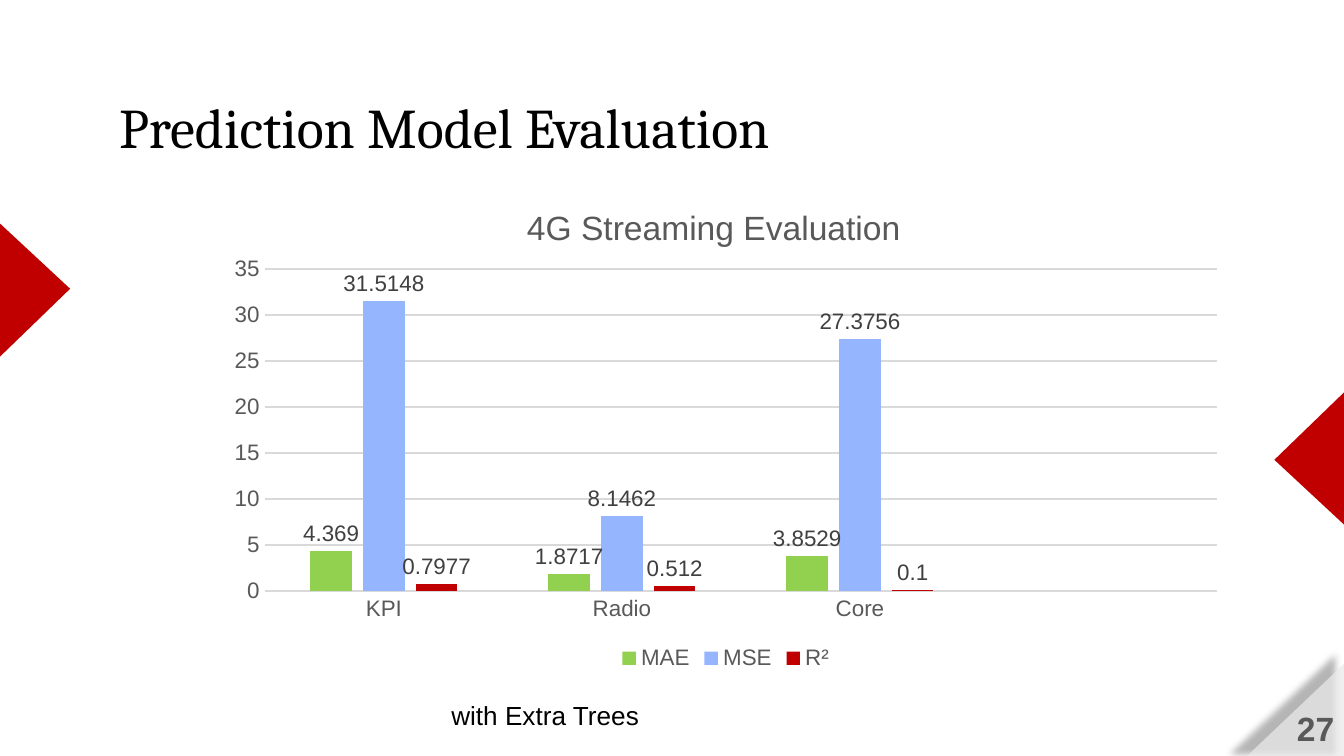
from dataclasses import dataclass

from lxml import etree
from pptx import Presentation
from pptx import util as u
from pptx.chart import data
from pptx.dml import color
from pptx.enum import chart as charts, shapes, text
from pptx.oxml import ns, parse_xml


@dataclass(frozen=True)
class Theme:
    ink: str = "000000"
    muted: str = "595959"
    label: str = "404040"
    grid: str = "D9D9D9"
    accent: str = "C00000"
    corner: str = "EAEAEA"
    series: tuple = ("92D050", "96B5FF", "C00000")
    heading_font: str = "Cambria"
    body_font: str = "Arial"
    title_size: int = 30
    chart_title_size: int = 18
    number_size: int = 18
    note_size: int = 14
    chart_size: int = 12


def rgb(value):
    return color.RGBColor.from_string(value)


def style_font(font, name, size, ink, bold=False):
    font.name = name
    font.size = u.Pt(size)
    font.bold = bold
    font.color.rgb = rgb(ink)


def write(frame, content, font, size, ink, bold=False,
          align=text.PP_ALIGN.LEFT, anchor=None):
    paragraph = frame.paragraphs[0]
    paragraph.alignment = align
    run = paragraph.add_run()
    run.text = content
    style_font(run.font, font, size, ink, bold)
    if anchor is not None:
        frame.vertical_anchor = anchor


def manual_layout(owner, position, **fractions):
    for former in owner.findall(ns.qn("c:layout")):
        owner.remove(former)
    layout = etree.Element(ns.qn("c:layout"))
    owner.insert(position, layout)
    manual = etree.SubElement(layout, ns.qn("c:manualLayout"))
    if "w" in fractions:
        etree.SubElement(manual, ns.qn("c:layoutTarget"), val="inner")
    for mode in ("xMode", "yMode"):
        etree.SubElement(manual, ns.qn(f"c:{mode}"), val="edge")
    for key, value in fractions.items():
        etree.SubElement(manual, ns.qn(f"c:{key}"), val=str(value))


class SlideBuilder:
    def __init__(self, slide, theme):
        self.slide = slide
        self.theme = theme

    def title(self, content, box):
        heading = self.slide.shapes.title
        heading.left, heading.top, heading.width, heading.height = map(u.Cm, box)
        frame = heading.text_frame
        frame.word_wrap = True
        frame.auto_size = text.MSO_AUTO_SIZE.NONE
        frame.margin_left = frame.margin_right = u.Cm(0.25)
        frame.margin_top = frame.margin_bottom = u.Cm(0.25)
        write(frame, content, self.theme.heading_font, self.theme.title_size,
              self.theme.ink, anchor=text.MSO_ANCHOR.TOP)

    def caption(self, content, box, **style):
        frame = self.slide.shapes.add_textbox(*map(u.Cm, box)).text_frame
        frame.word_wrap = True
        write(frame, content, self.theme.body_font, **style)

    def triangle(self, preset, box, rotation, fill):
        mark = self.slide.shapes.add_shape(preset, *map(u.Cm, box))
        mark.rotation = rotation
        mark.shadow.inherit = False
        mark.fill.solid()
        mark.fill.fore_color.rgb = rgb(fill)
        mark.line.fill.background()
        return mark

    def side_arrow(self, box, rotation):
        arrow = self.triangle(shapes.MSO_SHAPE.ISOSCELES_TRIANGLE, box,
                              rotation, self.theme.accent)
        arrow.adjustments[0] = 0.49

    def page_corner(self, box):
        corner = self.triangle(shapes.MSO_SHAPE.RIGHT_TRIANGLE, box, 270,
                               self.theme.corner)
        properties = corner._element.spPr
        tint = properties.find(".//" + ns.qn("a:srgbClr"))
        etree.SubElement(tint, ns.qn("a:alpha"), val="73000")
        properties.find(ns.qn("a:effectLst")).append(parse_xml(
            f'<a:outerShdw {ns.nsdecls("a")} blurRad="50800" dist="88900" '
            'dir="13500000" algn="br" rotWithShape="0"><a:srgbClr val="000000">'
            '<a:alpha val="40000"/></a:srgbClr></a:outerShdw>'))

    def column_chart(self, heading, categories, scores, box):
        theme = self.theme
        table = data.CategoryChartData()
        table.categories = categories
        for name, values in scores.items():
            table.add_series(name, values)
        chart = self.slide.shapes.add_chart(
            charts.XL_CHART_TYPE.COLUMN_CLUSTERED, *map(u.Cm, box), table).chart
        style_font(chart.font, theme.body_font, theme.chart_size, theme.muted)

        chart.has_title = True
        write(chart.chart_title.text_frame, heading, theme.body_font,
              theme.chart_title_size, theme.muted, align=text.PP_ALIGN.CENTER)
        manual_layout(chart.chart_title._element, 1, x=0.3, y=0.04)
        plot = chart.plots[0]
        manual_layout(plot._element.getparent(), 0,
                      x=0.05, y=0.18, w=0.93, h=0.65)

        chart.has_legend = True
        chart.legend.position = charts.XL_LEGEND_POSITION.BOTTOM
        chart.legend.include_in_layout = False
        style_font(chart.legend.font, theme.body_font, theme.chart_size, theme.muted)

        for axis in (chart.category_axis, chart.value_axis):
            axis.major_tick_mark = charts.XL_TICK_MARK.NONE
            axis.minor_tick_mark = charts.XL_TICK_MARK.NONE
            style_font(axis.tick_labels.font, theme.body_font, theme.chart_size,
                       theme.muted)
        scale = chart.value_axis
        scale.minimum_scale, scale.maximum_scale, scale.major_unit = 0, 35, 5
        scale.format.line.fill.background()
        for line in (chart.category_axis.format.line,
                     scale.major_gridlines.format.line):
            line.color.rgb = rgb(theme.grid)
            line.width = u.Pt(0.75)

        plot.vary_by_categories = False
        plot.gap_width = 219
        plot.overlap = -27
        for score, fill in zip(plot.series, theme.series):
            score.format.fill.solid()
            score.format.fill.fore_color.rgb = rgb(fill)
            labels = score.data_labels
            labels.show_value = True
            labels.position = charts.XL_LABEL_POSITION.OUTSIDE_END
            style_font(labels.font, theme.body_font, theme.chart_size, theme.label)


def main():
    deck = Presentation()
    deck.slide_width, deck.slide_height = u.Cm(25.4), u.Cm(14.29)
    theme = Theme()
    page = SlideBuilder(deck.slides.add_slide(deck.slide_layouts[5]), theme)

    page.title("Prediction Model Evaluation", (2, 1.5, 21.4, 1.6))
    page.side_arrow((-0.66, 4.8, 2.6, 1.37), 90)
    page.side_arrow((23.47, 7.98, 2.6, 1.37), 270)
    page.column_chart(
        "4G Streaming Evaluation",
        ("KPI", "Radio", "Core", ""),
        {
            "MAE": (4.369, 1.8717, 3.8529, None),
            "MSE": (31.5148, 8.1462, 27.3756, None),
            "R²": (0.7977, 0.512, 0.1, None),
        },
        (4.04, 3.4, 19.35, 9.37))
    page.caption("with Extra Trees", (8.28, 13.1, 8.48, 0.86),
                 size=theme.note_size, ink=theme.ink)
    page.page_corner((23.47, 12.5, 1.88, 1.98))
    page.caption("27", (24.26, 13.26, 1.37, 1.02),
                 size=theme.number_size, ink=theme.muted, bold=True)
    deck.save("out.pptx")


if __name__ == "__main__":
    main()
